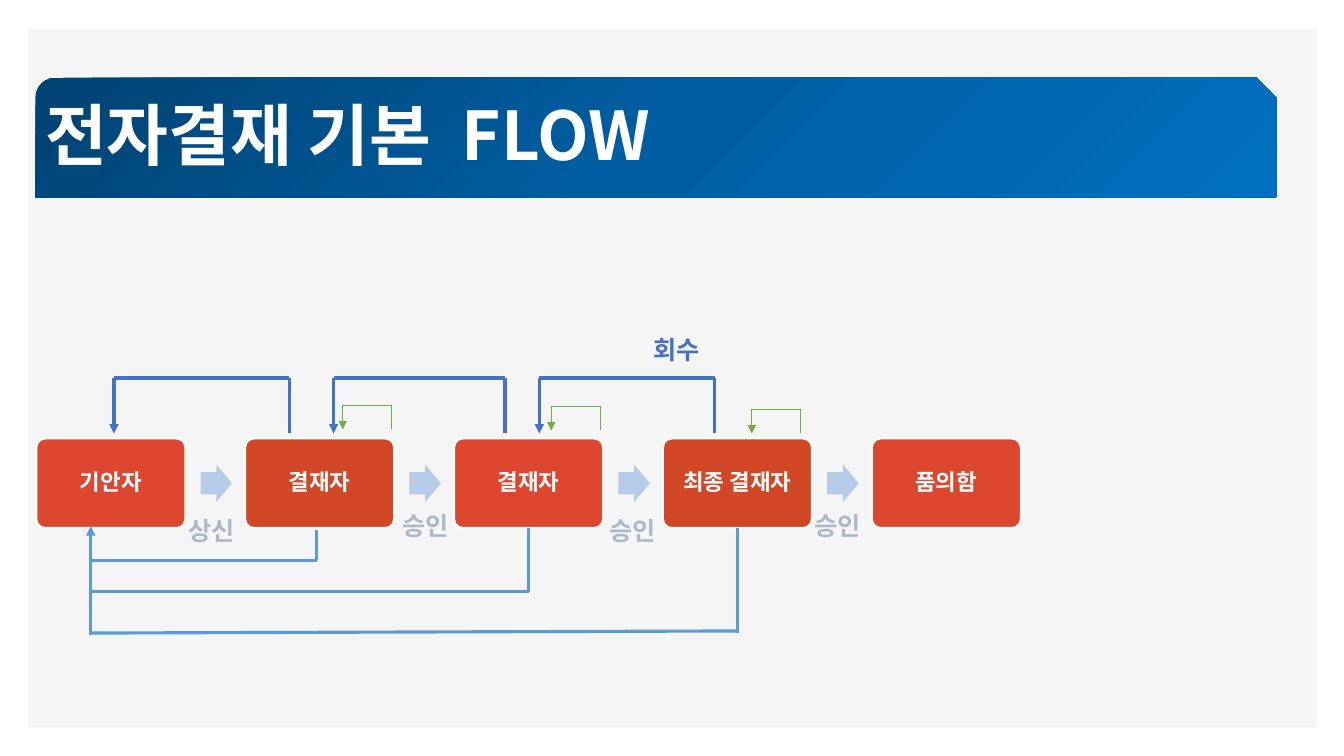
"""Build the slide on the basic flow of electronic approval."""
from copy import deepcopy
from typing import NamedTuple

from lxml.etree import SubElement
from pptx import Presentation
from pptx.dml.color import RGBColor
from pptx.enum.shapes import MSO_CONNECTOR, MSO_SHAPE
from pptx.enum.text import MSO_ANCHOR, MSO_AUTO_SIZE, PP_ALIGN
from pptx.oxml.ns import qn
from pptx.util import Pt

BLUE, GREEN, SKY = "4472C4", "70AD47", "5B9BD5"
WHITE, GREY, RED, ORANGE = "FFFFFF", "ADB9CA", "DD462F", "D24726"
STEP_X, STEP_Y, STEP_W, STEP_H, PITCH = 25.9, 313.2, 106.5, 64, 149.2
RETURN_X = 64.8


class Step(NamedTuple):
    name: str
    color: str


class Loop(NamedTuple):
    left: float
    top: float
    width: float
    height: float
    color: str
    weight: float


class Label(NamedTuple):
    text: str
    left: float
    top: float
    color: str


STEPS = [Step("기안자", RED), Step("결재자", ORANGE), Step("결재자", RED),
         Step("최종 결재자", ORANGE), Step("품의함", RED)]
LOOPS = [Loop(81.4, 270, 125.2, 39.6, BLUE, 2.25),
         Loop(238.3, 270, 122.4, 39.6, BLUE, 2.25),
         Loop(385.2, 270, 125.2, 39.6, BLUE, 2.25),
         Loop(244.8, 289.4, 35, 17.3, GREEN, 0.5),
         Loop(393.8, 290.2, 35, 17.3, GREEN, 0.5),
         Loop(537, 292.3, 35, 17.3, GREEN, 0.5)]
LABELS = [Label("회수", 459.4, 235.4, BLUE), Label("상신", 127.4, 364.3, GREY),
          Label("승인", 280.1, 360.7, GREY), Label("승인", 428.4, 364.3, GREY),
          Label("승인", 574.6, 360.7, GREY)]


def rgb(color: str) -> RGBColor:
    return RGBColor.from_string(color)


def add_text(p, text: str, *, size: float, color: str, font: str = "Cabin",
             spacing: float = 0) -> None:
    r = p.add_run()
    r.text = text
    r.font.size, r.font.bold, r.font.name = Pt(size), True, font
    r.font.color.rgb = rgb(color)
    props = r.font._element
    SubElement(props, qn("a:ea"), typeface="Noto Sans CJK KR")
    if spacing:
        props.set("spc", str(round(spacing * 100)))


def add_box(s, kind: MSO_SHAPE, left: float, top: float, width: float,
            height: float, fill: str, line: str | None = None):
    sp = s.shapes.add_shape(kind, Pt(left), Pt(top), Pt(width), Pt(height))
    sp.shadow.inherit = False
    sp.fill.solid()
    sp.fill.fore_color.rgb = rgb(fill)
    if line:
        sp.line.color.rgb = rgb(line)
        sp.line.width = Pt(1.5)
    else:
        sp.line.fill.background()
    return sp


def add_text_box(s, left: float, top: float, width: float, height: float):
    tf = s.shapes.add_textbox(Pt(left), Pt(top), Pt(width), Pt(height)).text_frame
    tf.word_wrap = False
    return tf


def add_line(s, x1: float, y1: float, x2: float, y2: float, color: str,
             weight: float = 2.25, arrow: bool = False):
    cx = s.shapes.add_connector(MSO_CONNECTOR.STRAIGHT, Pt(x1), Pt(y1), Pt(x2), Pt(y2))
    cx.line.color.rgb = rgb(color)
    cx.line.width = Pt(weight)
    props = cx._element.spPr
    if arrow:
        SubElement(props.find(qn("a:ln")), qn("a:tailEnd"), type="triangle")
    SubElement(props, qn("a:effectLst"))
    return cx


def add_banner(s) -> None:
    sp = add_box(s, MSO_SHAPE.SNIP_ROUND_RECTANGLE, 25.2, 55.4, 886.3, 85.7, "005EA2")
    sp.fill.gradient()
    sp.fill.gradient_angle = 315
    stops = sp._element.spPr.find(qn("a:gradFill")).find(qn("a:gsLst"))
    stops.insert(1, deepcopy(stops[0]))
    colors = ["004272", "005EA2", "0070C0"]
    for i, (stop, color) in enumerate(zip(sp.fill.gradient_stops, colors)):
        stop.position = i / 2
        stop.color.rgb = rgb(color)
    p = add_text_box(s, 25.2, 63.4, 509.8, 69.1).paragraphs[0]
    for text, spacing in [("전자결재 기본", 0), (" ", 10.8), ("FLOW", 0)]:
        add_text(p, text, size=48, color=WHITE, font="Noto Sans CJK KR", spacing=spacing)


def add_steps(s) -> list:
    boxes = []
    for i, step in enumerate(STEPS):
        x = STEP_X + i * PITCH
        sp = add_box(s, MSO_SHAPE.ROUNDED_RECTANGLE, x, STEP_Y, STEP_W, STEP_H,
                     step.color, WHITE)
        sp.adjustments[0] = 0.1
        tf = sp.text_frame
        tf.word_wrap, tf.vertical_anchor = True, MSO_ANCHOR.MIDDLE
        p = tf.paragraphs[0]
        p.alignment, p.line_spacing = PP_ALIGN.CENTER, 0.9
        add_text(p, step.name, size=16, color=WHITE)
        boxes.append(sp)
        if i < len(STEPS) - 1:
            arrow = add_box(s, MSO_SHAPE.RIGHT_ARROW, x + 117.4, 331.9, 22.5, 26.6, "B5CBE7")
            arrow.adjustments[0] = 0.6
    return boxes


def add_loop(s, loop: Loop) -> None:
    left, top, color, weight = loop.left, loop.top, loop.color, loop.weight
    right, bottom = left + loop.width, top + loop.height
    add_line(s, right, bottom, right, top, color, weight)
    add_line(s, left, top, right, top, color, weight)
    add_line(s, left, top, left, bottom, color, weight, arrow=True)


def add_returns(s, boxes: list) -> None:
    add_line(s, 226.1, 378.7, 226.1, 400.3, SKY)
    add_line(s, RETURN_X, 400.3, 226.1, 400.3, SKY)
    for i, left_y, right_y in [(2, 422.6, 422.6), (3, 452.2, 450.7)]:
        x = STEP_X + i * PITCH + STEP_W / 2
        drop = add_line(s, x, STEP_Y + STEP_H, x, left_y, SKY)
        drop.begin_connect(boxes[i], 2)
        add_line(s, RETURN_X, left_y, x, right_y, SKY)
    add_line(s, RETURN_X, 453.6, RETURN_X, 375.8, SKY, arrow=True)


def main() -> None:
    prs = Presentation()
    prs.slide_width, prs.slide_height = Pt(960), Pt(540)
    s = prs.slides.add_slide(prs.slide_layouts[6])
    add_box(s, MSO_SHAPE.RECTANGLE, 20.2, 20.9, 920.2, 498.9, "F5F5F5")
    add_banner(s)
    boxes = add_steps(s)
    for loop in LOOPS:
        add_loop(s, loop)
    for label in LABELS:
        tf = add_text_box(s, label.left, label.top, 51.1, 28.8)
        tf.auto_size = MSO_AUTO_SIZE.SHAPE_TO_FIT_TEXT
        add_text(tf.paragraphs[0], label.text, size=18, color=label.color)
    add_returns(s, boxes)
    prs.save("out.pptx")


if __name__ == "__main__":
    main()
